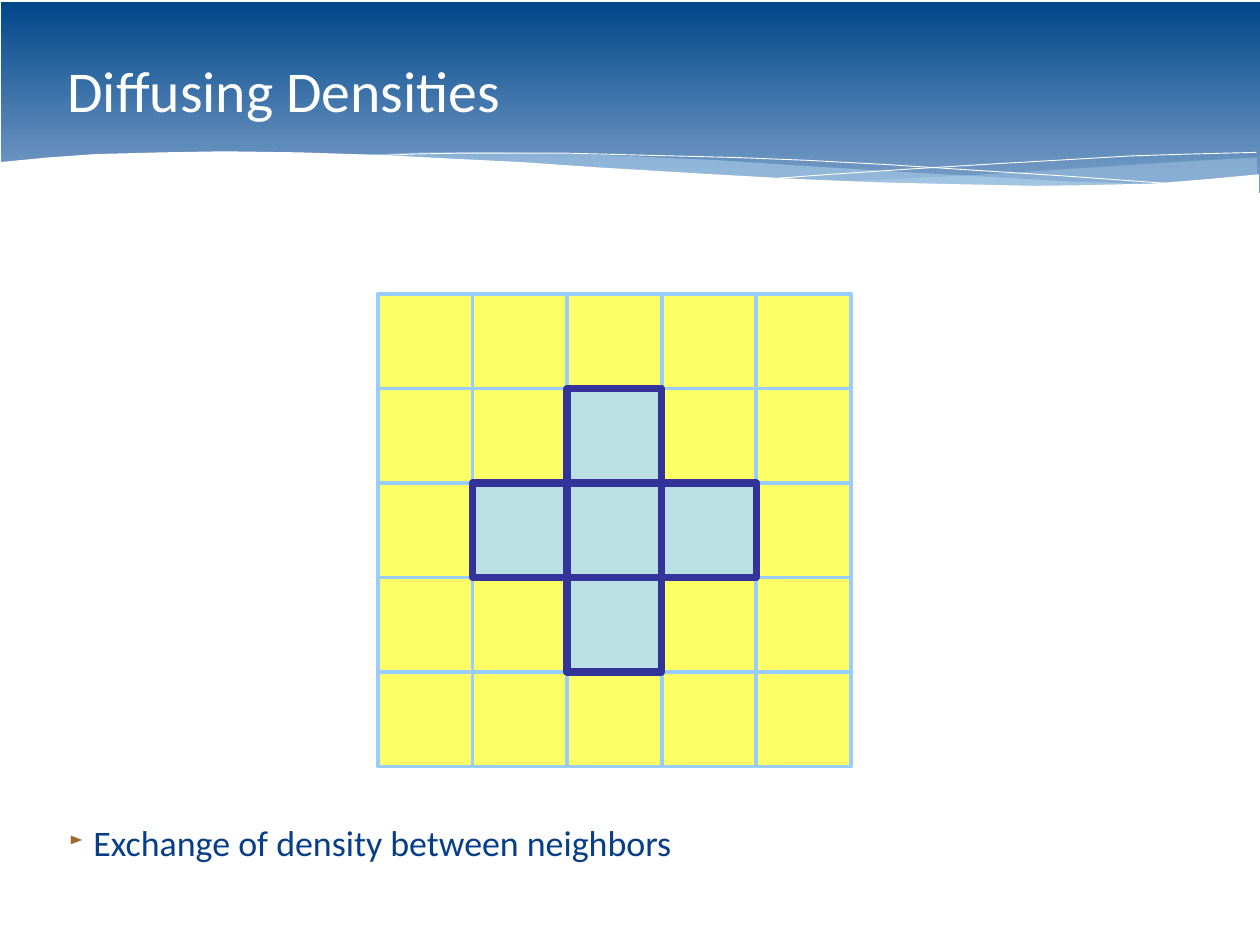
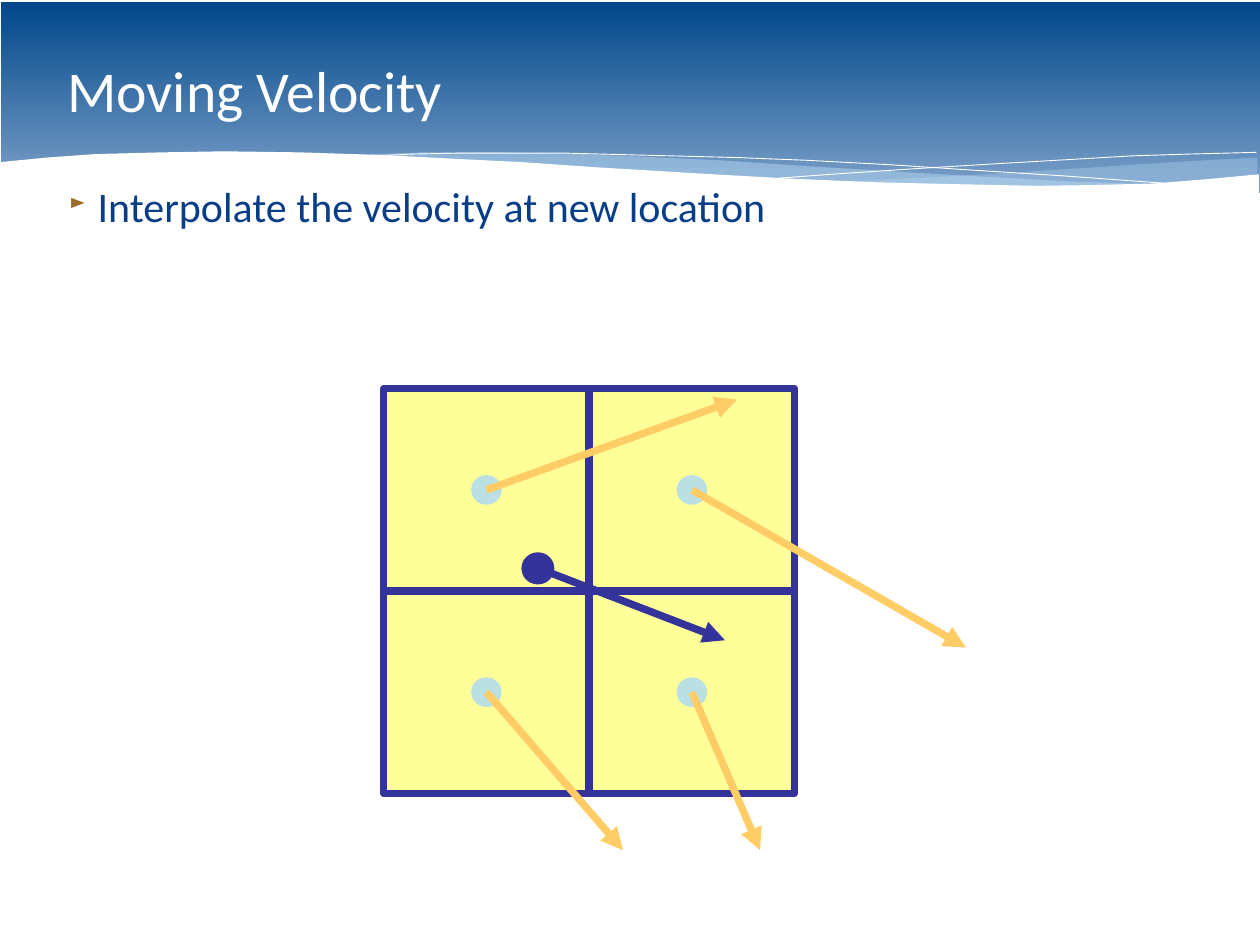
from lxml import etree
from pptx import Presentation
from pptx import util as u
from pptx.dml.color import RGBColor
from pptx.enum import shapes, text
from pptx.oxml.ns import qn

NAVY = RGBColor(0x00, 0x47, 0x8A)
STEEL = RGBColor(0x71, 0x98, 0xC3)
HAZE = RGBColor(0xC6, 0xE7, 0xFC)
WHITE = RGBColor(0xFF, 0xFF, 0xFF)
INK = RGBColor(0x07, 0x3E, 0x87)
BROWN = RGBColor(0x9C, 0x6B, 0x29)
YELLOW = RGBColor(0xFF, 0xFF, 0x66)
CREAM = RGBColor(0xFF, 0xFF, 0x99)
SKY = RGBColor(0x99, 0xCC, 0xFF)
TEAL = RGBColor(0xBB, 0xE0, 0xE3)
INDIGO = RGBColor(0x33, 0x33, 0x99)
AMBER = RGBColor(0xFF, 0xCC, 0x66)
FONT = "Calibri"
RECT = shapes.MSO_SHAPE.RECTANGLE
OVAL = shapes.MSO_SHAPE.OVAL

SWELL = [
    (36.02, 4.52), (34.49, 4.6), (32.84, 4.7), (30.61, 4.85), (28.58, 4.98),
    (26.72, 5.08), (24.13, 5.21), (25.78, 5.26), (27.76, 5.31), (29.51, 5.33),
    (31.06, 5.33), (32.44, 5.28), (33.66, 5.23), (34.77, 5.13), (36.04, 5),
    (36.04, 4.52)]
RIPPLE = [
    (32.89, 5.28), (30.78, 5.21), (28.45, 5.08), (25.83, 4.93), (22.91, 4.75),
    (20.65, 4.6), (18.57, 4.5), (16.69, 4.42), (14.22, 4.37), (12.14, 4.37),
    (9.96, 4.45), (12.07, 4.52), (14.43, 4.65), (17.68, 4.85), (20.55, 5.03),
    (23.11, 5.16), (25.4, 5.26), (27.43, 5.31), (29.24, 5.33), (31.19, 5.33),
    (32.26, 5.31)]
FALL = [
    (10.82, 4.47), (11.81, 4.42), (13.28, 4.39), (16.15, 4.39), (18.42, 4.45),
    (21.13, 4.52), (23.16, 4.6), (25.43, 4.72), (27.89, 4.88), (30.56, 5.05),
    (33.45, 5.26)]
RISE = [
    (22.33, 5.11), (23.8, 5), (26.37, 4.83), (28.5, 4.7), (30.76, 4.57),
    (32.46, 4.47), (34.06, 4.42), (36.02, 4.37)]
SHORE = [
    (36.07, 5), (34.7, 5.13), (33.12, 5.26), (31.29, 5.31), (29.72, 5.33),
    (27.28, 5.28), (25.17, 5.23), (22.78, 5.13), (20.12, 4.98), (17.12, 4.8),
    (14.96, 4.65), (12.93, 4.55), (11.05, 4.45), (8.59, 4.37), (6.43, 4.34),
    (4.65, 4.37), (2.72, 4.42), (1.35, 4.52), (0, 4.65), (0, 5.87),
    (36.09, 5.87), (36.09, 5)]


def cms(*nums):
    return [u.Cm(n) for n in nums]


def sub(node, tag, **attrs):
    return etree.SubElement(node, qn(tag), attrs)


class Deck:
    def __init__(self):
        self.prs = Presentation()
        self.prs.slide_width, self.prs.slide_height = cms(36.12, 27.1)
        self.base = self.prs.slide_layouts.get_by_name("Title Only")
        for hold in list(self.base.placeholders):
            if hold.placeholder_format.idx != 0:
                hold.element.getparent().remove(hold.element)
        self.slide = None

    def add_words(self, para, words, size, color):
        run = para.add_run()
        run.text = words
        run.font.name = FONT
        run.font.size = u.Pt(size)
        run.font.color.rgb = color

    def page(self, words):
        self.slide = self.prs.slides.add_slide(self.base)
        head = self.slide.shapes.title
        head.left, head.top, head.width, head.height = cms(1.8, 0.58, 32.51, 3.94)
        frame = head.text_frame
        frame.margin_left = u.Cm(0.13)
        frame.vertical_anchor = text.MSO_ANCHOR.MIDDLE
        para = frame.paragraphs[0]
        para.alignment = text.PP_ALIGN.LEFT
        self.add_words(para, words, 46.9, WHITE)

    def edge(self, shape, color, width):
        shape.line.color.rgb = color
        shape.line.width = u.Pt(width)
        line = shape.element.spPr.find(qn("a:ln"))
        sub(line, "a:round")
        return line

    def block(self, kind, x, y, w, h, fill, color, width):
        shape = self.slide.shapes.add_shape(kind, *cms(x, y, w, h))
        shape.shadow.inherit = False
        shape.fill.solid()
        shape.fill.fore_color.rgb = fill
        self.edge(shape, color, width)

    def arrow(self, start, end, color):
        link = self.slide.shapes.add_connector(
            shapes.MSO_CONNECTOR.STRAIGHT, *cms(*start, *end))
        line = self.edge(link, color, 6)
        sub(line, "a:tailEnd", type="triangle")
        sub(link.element.spPr, "a:effectLst")

    def point(self, words, top, size, indent):
        box = self.slide.shapes.add_textbox(*cms(1.8, top, 32.51, 1.7))
        frame = box.text_frame
        frame.word_wrap = True
        frame.margin_left = u.Cm(0.19)
        para = frame.paragraphs[0]
        props = para._p.get_or_add_pPr()
        hang = u.Cm(indent)
        props.set("marL", str(hang))
        props.set("indent", str(-hang))
        sub(sub(props, "a:buClr"), "a:srgbClr", val=str(BROWN))
        sub(props, "a:buSzPct", val="50000")
        sub(props, "a:buChar", char="►")
        self.add_words(para, words, size, INK)

    def band(self):
        shape = self.slide.shapes.add_shape(RECT, *cms(0.03, 0.05, 36.09, 5.49))
        shape.shadow.inherit = False
        shape.line.fill.background()
        shape.fill.gradient()
        shape.fill.gradient_angle = 270
        for stop, place, color in zip(
                shape.fill.gradient_stops, (0, 0.9), (NAVY, STEEL)):
            stop.position = place
            stop.color.rgb = color
        return shape

    def curve(self, spots, close):
        first, *rest = [cms(*spot) for spot in spots]
        outline = self.slide.shapes.build_freeform(*first)
        outline.add_line_segments(rest, close=close)
        shape = outline.convert_to_shape()
        shape.shadow.inherit = False
        return shape

    def wave(self, spots, color, alpha=100):
        shape = self.curve(spots, True)
        shape.line.fill.background()
        shape.fill.solid()
        shape.fill.fore_color.rgb = color
        if alpha < 100:
            tone = shape.element.spPr.find(".//" + qn("a:srgbClr"))
            sub(tone, "a:alpha", val=str(alpha * 1000))
        return shape

    def thread(self, spots):
        shape = self.curve(spots, False)
        shape.fill.background()
        self.edge(shape, WHITE, 0)
        return shape

    def dress(self):
        parts = [
            self.band(), self.wave(SWELL, HAZE, 29), self.wave(RIPPLE, HAZE, 40),
            self.thread(FALL), self.thread(RISE), self.wave(SHORE, WHITE)]
        for part in parts:
            self.base.shapes.element.append(part.element)


def spread(deck):
    deck.page("Diffusing Densities")
    deck.dress()
    deck.point("Exchange of density between neighbors", 23.4, 29.2, 0.69)
    side = 2.71
    cells = [(col, row) for row in range(5) for col in range(5)]
    cross = [c for c in cells if abs(c[0] - 2) + abs(c[1] - 2) <= 1]
    plain = [c for c in cells if c not in cross]
    for group, style in ((plain, (YELLOW, SKY, 3)), (cross, (TEAL, INDIGO, 6))):
        for col, row in group:
            deck.block(RECT, 10.84 + col * side, 8.43 + row * side,
                       side, side, *style)


def move(deck):
    deck.page("Moving Velocity")
    deck.point("Interpolate the velocity at new location", 5.05, 34.1, 0.81)
    wide, high = 5.89, 5.8
    tips = {(0, 0): (21.13, 11.46), (1, 0): (27.69, 18.57),
            (0, 1): (17.86, 24.38), (1, 1): (21.79, 24.38)}
    flows = []
    for (col, row), tip in tips.items():
        x, y = 11 + col * wide, 11.15 + row * high
        mid = (x + wide / 2, y + high / 2)
        deck.block(RECT, x, y, wide, high, CREAM, INDIGO, 6)
        deck.block(OVAL, mid[0] - 0.33, mid[1] - 0.32, 0.66, 0.64, TEAL, TEAL, 6)
        flows.append((mid, tip))
    for mid, tip in flows:
        deck.arrow(mid, tip, AMBER)
    deck.block(OVAL, 15.09, 15.98, 0.66, 0.64, INDIGO, INDIGO, 8)
    deck.arrow((15.34, 16.26), (20.78, 18.36), INDIGO)


def main():
    deck = Deck()
    spread(deck)
    move(deck)
    deck.prs.save("out.pptx")


if __name__ == "__main__":
    main()
